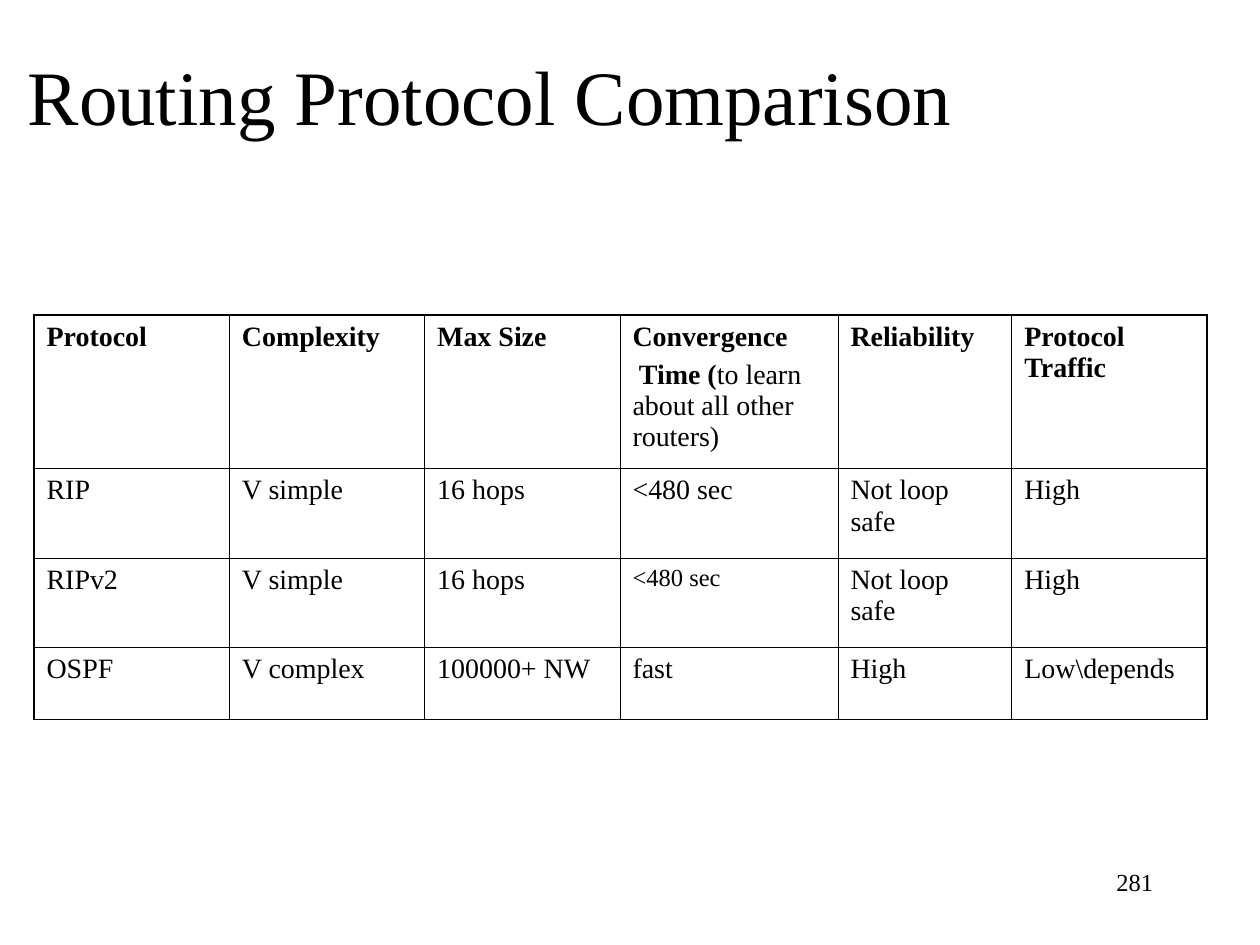
from lxml.etree import SubElement
from pptx import Presentation
from pptx.dml.color import RGBColor
from pptx.enum.text import MSO_ANCHOR, MSO_AUTO_SIZE, PP_ALIGN
from pptx.oxml.ns import qn
from pptx.util import Inches, Pt

FONT = "Times New Roman"
BLACK = "000000"
TITLE = "Routing Protocol Comparison"
PAGE_NUMBER = "281"
ROWS = [
    ["Protocol", "Complexity", "Max Size",
     "Convergence\n Time (", "Reliability", "Protocol Traffic"],
    ["RIP", "V simple", "16 hops", "<480 sec", "Not loop safe", "High"],
    ["RIPv2", "V simple", "16 hops", "<480 sec", "Not loop safe", "High"],
    ["OSPF", "V complex", "100000+ NW", "fast", "High", "Low\\depends"],
]
CONVERGENCE_COLUMN = 3
CONVERGENCE_NOTE = "to learn about all other routers)"
SMALL_CELL = (2, CONVERGENCE_COLUMN)
COLUMN_WIDTHS = [1.55, 1.55, 1.55, 1.73, 1.38, 1.55]
ROW_HEIGHTS = [1.22, 0.71, 0.71, 0.57]
INNER_LINE, OUTER_LINE = 0.45, 1.08


def format_run(run, size, bold=False):
    run.font.name = FONT
    run.font.size = Pt(size)
    run.font.bold = bold
    run.font.color.rgb = RGBColor.from_string(BLACK)


def set_borders(cell, outer_sides):
    cell.fill.background()
    properties = cell._tc.get_or_add_tcPr()
    for index, (side, is_outer) in enumerate(outer_sides.items()):
        width = OUTER_LINE if is_outer else INNER_LINE
        line = SubElement(properties, qn(f"a:ln{side}"), w=str(Pt(width)))
        fill = SubElement(line, qn("a:solidFill"))
        SubElement(fill, qn("a:srgbClr"), val=BLACK)
        properties.insert(index, line)


def add_title(slide):
    title = slide.shapes.title
    title.left, title.top = Inches(0.12), Inches(0.13)
    title.width, title.height = Inches(8.5), Inches(1.25)
    text_frame = title.text_frame
    text_frame.text = TITLE
    text_frame.auto_size = MSO_AUTO_SIZE.NONE
    text_frame.vertical_anchor = MSO_ANCHOR.MIDDLE
    paragraph = text_frame.paragraphs[0]
    paragraph.alignment = PP_ALIGN.LEFT
    format_run(paragraph.runs[0], 44)


def add_comparison_table(slide):
    last_row, last_column = len(ROWS) - 1, len(COLUMN_WIDTHS) - 1
    table = slide.shapes.add_table(
        len(ROWS), len(COLUMN_WIDTHS), Inches(0.27), Inches(2.5),
        Inches(sum(COLUMN_WIDTHS)), Inches(sum(ROW_HEIGHTS))).table
    for column, width in zip(table.columns, COLUMN_WIDTHS):
        column.width = Inches(width)
    for row, height in zip(table.rows, ROW_HEIGHTS):
        row.height = Inches(height)

    for row_index, texts in enumerate(ROWS):
        for column_index, text in enumerate(texts):
            cell = table.cell(row_index, column_index)
            cell.text_frame.text = text
            size = 14 if (row_index, column_index) == SMALL_CELL else 16
            for paragraph in cell.text_frame.paragraphs:
                format_run(paragraph.runs[0], size, bold=row_index == 0)
            set_borders(cell, {
                "L": column_index == 0, "R": column_index == last_column,
                "T": row_index == 0, "B": row_index == last_row})

    paragraph = table.cell(0, CONVERGENCE_COLUMN).text_frame.paragraphs[1]
    paragraph.space_before = Pt(4)
    note = paragraph.add_run()
    note.text = CONVERGENCE_NOTE
    format_run(note, 16)


def add_page_number(slide):
    box = slide.shapes.add_textbox(
        Inches(7.17), Inches(6.83), Inches(2.08), Inches(0.5))
    box.text_frame.word_wrap = True
    box.text_frame.text = PAGE_NUMBER
    paragraph = box.text_frame.paragraphs[0]
    paragraph.alignment = PP_ALIGN.RIGHT
    format_run(paragraph.runs[0], 14)


def main():
    presentation = Presentation()
    presentation.slide_width = Inches(10)
    presentation.slide_height = Inches(7.5)
    slide = presentation.slides.add_slide(presentation.slide_layouts[5])
    add_title(slide)
    add_comparison_table(slide)
    add_page_number(slide)
    presentation.save("out.pptx")


if __name__ == "__main__":
    main()
